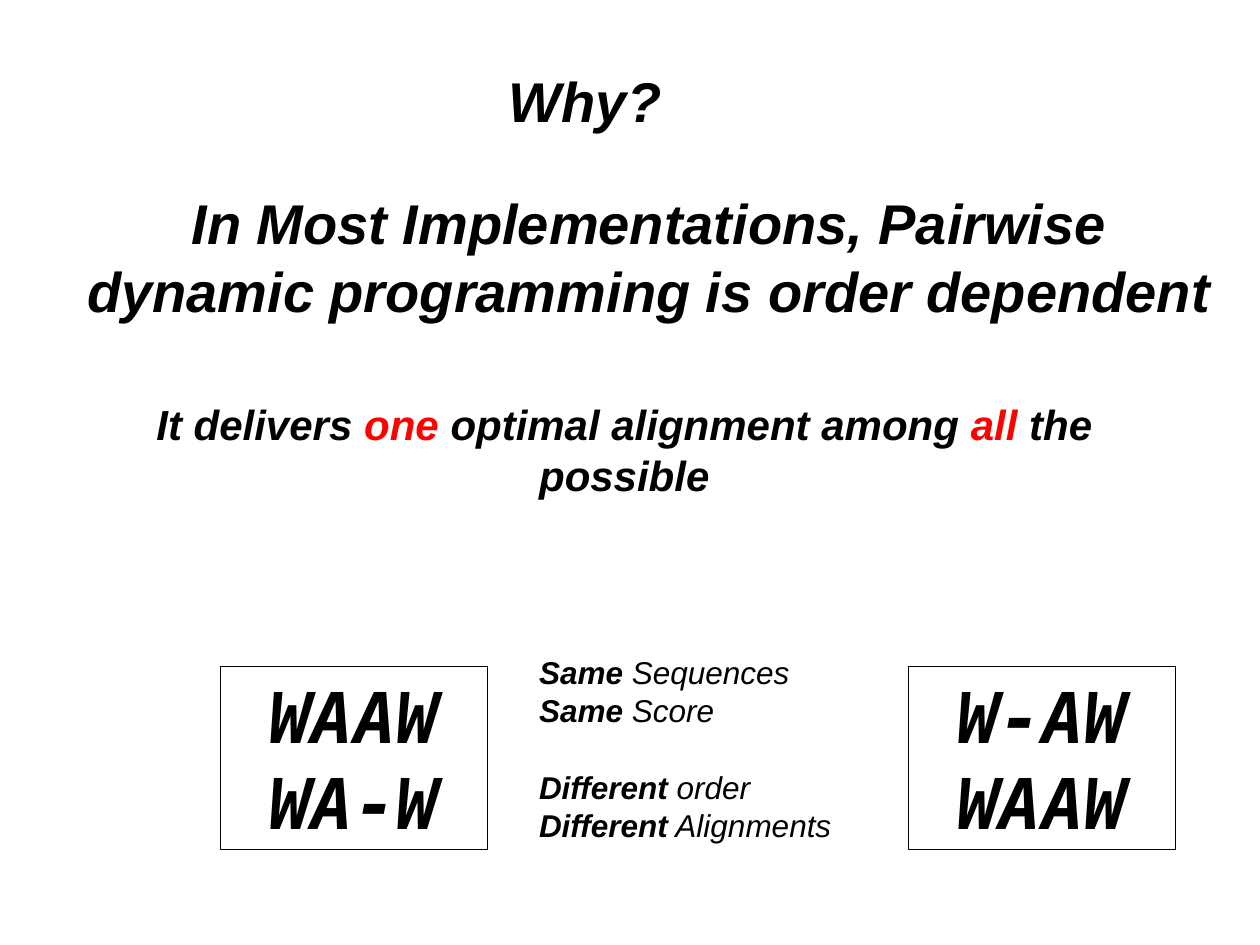
from pptx import Presentation
from pptx.dml.color import RGBColor
from pptx.enum.shapes import MSO_SHAPE
from pptx.enum.text import MSO_ANCHOR, MSO_AUTO_SIZE, PP_ALIGN
from pptx.util import Inches, Pt

BLACK = RGBColor(0x00, 0x00, 0x00)
RED = RGBColor(0xFF, 0x00, 0x00)
LINE_HEIGHT = 1.215


def write(shape, paragraphs, size, font="Arial", align=PP_ALIGN.CENTER,
          anchor=MSO_ANCHOR.TOP, wrap=True, gap_before=None):
    """Each paragraph is a list of (text, bold, colour) runs.

    gap_before is the index of a paragraph that follows one line of space.
    """
    frame = shape.text_frame
    frame.word_wrap = wrap
    frame.auto_size = MSO_AUTO_SIZE.NONE
    frame.vertical_anchor = anchor
    for index, runs in enumerate(paragraphs):
        paragraph = frame.paragraphs[0] if index == 0 else frame.add_paragraph()
        paragraph.alignment = align
        paragraph.line_spacing = Pt(size * LINE_HEIGHT)
        paragraph.space_before = Pt(size * LINE_HEIGHT if index == gap_before else 0)
        for text, bold, colour in runs:
            run = paragraph.add_run()
            run.text = text
            run.font.name = font
            run.font.size = Pt(size)
            run.font.bold = bold
            run.font.italic = True
            run.font.color.rgb = colour


def place(shape, left, top, width, height):
    shape.left, shape.top = Inches(left), Inches(top)
    shape.width, shape.height = Inches(width), Inches(height)


def add_text(slide, left, top, width, height, paragraphs, size, **text_format):
    box = slide.shapes.add_textbox(
        Inches(left), Inches(top), Inches(width), Inches(height))
    write(box, paragraphs, size, **text_format)


def add_alignment(slide, left, sequences):
    frame = slide.shapes.add_shape(
        MSO_SHAPE.RECTANGLE, Inches(left), Inches(5.29), Inches(2.12), Inches(1.45))
    frame.shadow.inherit = False
    frame.fill.background()
    frame.line.color.rgb = BLACK
    frame.line.width = Pt(0.75)
    write(frame, [[(sequence, True, BLACK)] for sequence in sequences], 40,
          font="DejaVu Sans Mono", anchor=MSO_ANCHOR.MIDDLE)


def main():
    deck = Presentation()
    deck.slide_width, deck.slide_height = Inches(10), Inches(7.5)
    slide = deck.slides.add_slide(deck.slide_layouts[5])

    title = slide.shapes.title
    place(title, 0.51, 0.47, 8.27, 0.64)
    write(title, [[("Why?", True, BLACK)]], 32)

    claim = "In Most Implementations, Pairwise dynamic programming is order dependent"
    add_text(slide, 0.51, 1.44, 9.29, 1.18, [[(claim, True, BLACK)]], 32)

    explanation = [("It delivers ", BLACK), ("one", RED),
                   (" optimal alignment among ", BLACK), ("all", RED),
                   (" the possible", BLACK)]
    add_text(slide, 0.51, 3.11, 8.89, 0.91,
             [[(text, True, colour) for text, colour in explanation]], 24)

    add_alignment(slide, 1.75, ["WAAW", "WA-W"])
    add_alignment(slide, 7.21, ["W-AW", "WAAW"])

    comparison = [("Same", " Sequences"), ("Same", " Score"),
                  ("Different", " order"), ("Different", " Alignments")]
    add_text(slide, 4.18, 5.13, 2.76, 1.62,
             [[(verdict, True, BLACK), (aspect, False, BLACK)]
              for verdict, aspect in comparison],
             18, align=PP_ALIGN.LEFT, wrap=False, gap_before=2)

    deck.save("out.pptx")


if __name__ == "__main__":
    main()
